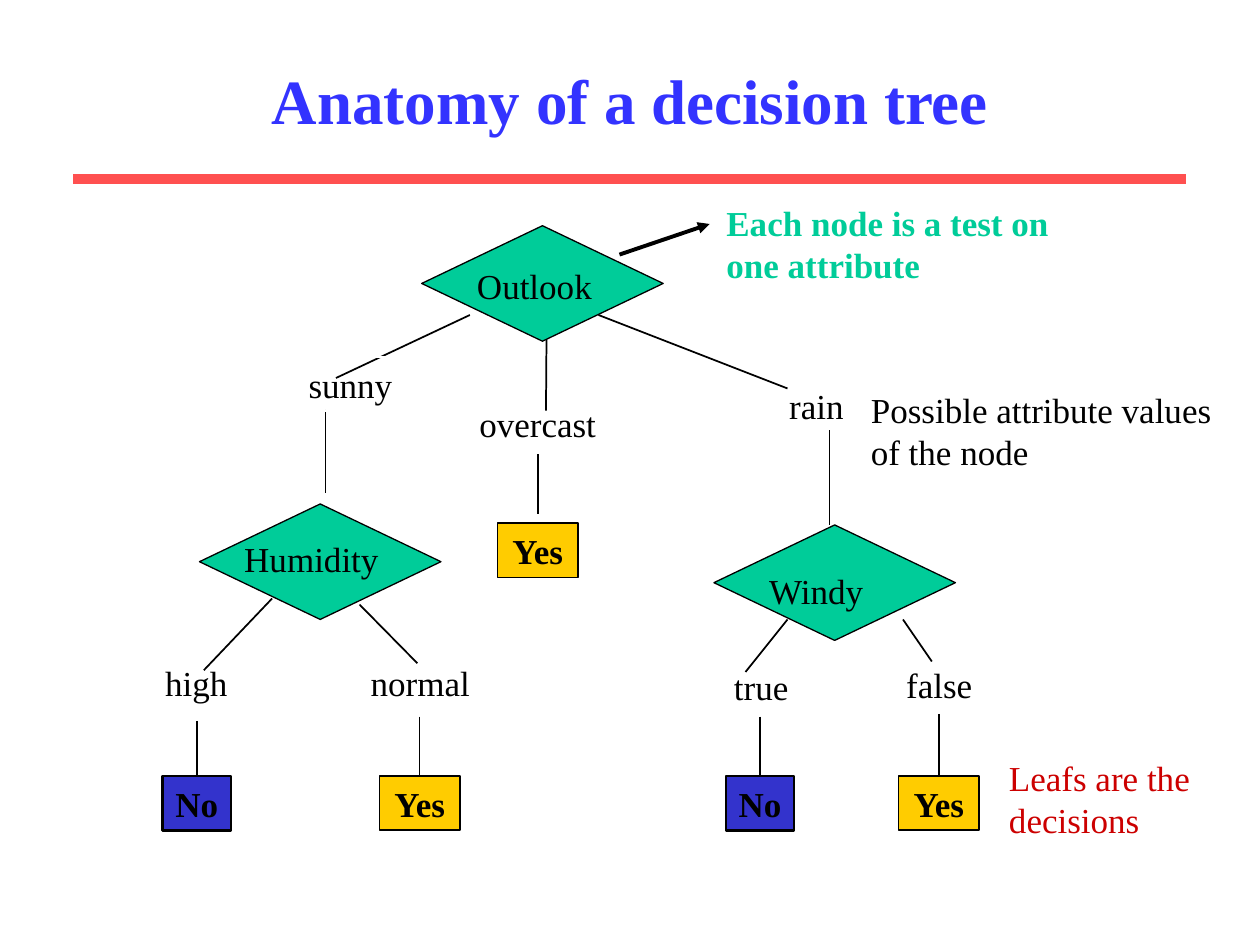
from lxml import etree
from pptx import Presentation
from pptx.dml.color import RGBColor
from pptx.enum.shapes import MSO_CONNECTOR, MSO_SHAPE
from pptx.enum.text import MSO_ANCHOR, PP_ALIGN
from pptx.oxml.ns import qn
from pptx.util import Pt

STRAIGHT = MSO_CONNECTOR.STRAIGHT
RECT, DIAMOND = MSO_SHAPE.RECTANGLE, MSO_SHAPE.DIAMOND
LEFT, CENTER = PP_ALIGN.LEFT, PP_ALIGN.CENTER
TOP, MIDDLE = MSO_ANCHOR.TOP, MSO_ANCHOR.MIDDLE

BLACK = RGBColor(0x00, 0x00, 0x00)
WHITE = RGBColor(0xFF, 0xFF, 0xFF)
TITLE_BLUE = RGBColor(0x33, 0x33, 0xFF)
RULE_RED = RGBColor(0xFF, 0x50, 0x50)
NODE_GREEN = RGBColor(0x00, 0xCC, 0x99)
NO_BLUE = RGBColor(0x33, 0x33, 0xCC)
YES_YELLOW = RGBColor(0xFF, 0xCC, 0x00)
LEAF_RED = RGBColor(0xCC, 0x00, 0x00)

prs = Presentation()
prs.slide_width, prs.slide_height = Pt(720), Pt(540)
s = prs.slides.add_slide(prs.slide_layouts[6])


def write(sp, text, size=20, color=BLACK, bold=False, align=CENTER, anchor=TOP, wrap=False):
    tf = sp.text_frame
    tf.text = text
    tf.word_wrap = wrap
    tf.vertical_anchor = anchor
    for p in tf.paragraphs:
        p.alignment = align
        for r in p.runs:
            r.font.name = "Times New Roman"
            r.font.size = Pt(size)
            r.font.bold = bold
            r.font.color.rgb = color


def add_line(x1, y1, x2, y2, width=1, color=BLACK):
    c = s.shapes.add_connector(STRAIGHT, Pt(x1), Pt(y1), Pt(x2), Pt(y2))
    c.line.color.rgb = color
    c.line.width = Pt(width)
    etree.SubElement(c._element.spPr, qn("a:effectLst"))
    return c


add_line(42, 102.3, 678, 102.3, 6, RULE_RED)
title = s.shapes.add_textbox(Pt(54), Pt(18), Pt(612), Pt(78))
write(title, "Anatomy of a decision tree", 36, TITLE_BLUE, True, anchor=MIDDLE, wrap=True)

branches = [
    (268.5, 180, 192, 216, 1),
    (312.3, 192, 312, 234.7, 1),
    (342, 180, 450, 222, 1),
    (155.5, 342, 116.5, 383, 1),
    (205.5, 345.5, 238.5, 379, 1),
    (450, 354, 426, 384, 1),
    (516, 354, 532.5, 378, 1),
    (307.3, 259.5, 307.3, 294, 1),
    (186, 234, 186, 282, 0.75),
    (474, 246, 474, 300, 0.75),
]
for branch in branches:
    add_line(*branch)

sunny = s.shapes.add_shape(RECT, Pt(169), Pt(204), Pt(62.5), Pt(31))
sunny.shadow.inherit = False
sunny.fill.background()
sunny.line.color.rgb = WHITE
sunny.line.width = Pt(1)
write(sunny, "sunny")

values = [
    ("overcast", 266.5, 226.5, 81.5),
    ("rain", 443.5, 216, 46),
    ("high", 87, 374.5, 50.5),
    ("normal", 204.5, 374.5, 71.5),
    ("true", 412, 376.5, 46),
    ("false", 510.5, 375.5, 52.5),
]
for text, x, y, w in values:
    sp = s.shapes.add_textbox(Pt(x), Pt(y), Pt(w), Pt(31))
    write(sp, text)

leaves = [
    ("No", 112.5, 443.5, 412),
    ("Yes", 239.8, 443.5, 409.5),
    ("No", 434.3, 443.5, 409.5),
    ("Yes", 536.5, 443.5, 408),
    ("Yes", 307.3, 299, None),
]
leaf_styles = {"No": (39, NO_BLUE, 1.5), "Yes": (46, YES_YELLOW, 1)}
for text, center, y, line_top in leaves:
    w, fill, border = leaf_styles[text]
    sp = s.shapes.add_shape(RECT, Pt(center - w / 2), Pt(y), Pt(w), Pt(31))
    sp.shadow.inherit = False
    sp.fill.solid()
    sp.fill.fore_color.rgb = fill
    sp.line.color.rgb = BLACK
    sp.line.width = Pt(border)
    write(sp, text, bold=True)
    if line_top:
        add_line(center, line_top, center, y).end_connect(sp, 0)

nodes = [
    ("Outlook", 241, 129, 265.5, 147.5, 80),
    ("Humidity", 114, 288, 132.5, 303.5, 91),
    ("Windy", 408, 300, 432.5, 322, 69),
]
for text, x, y, text_x, text_y, text_w in nodes:
    sp = s.shapes.add_shape(DIAMOND, Pt(x), Pt(y), Pt(138), Pt(66))
    sp.shadow.inherit = False
    sp.fill.solid()
    sp.fill.fore_color.rgb = NODE_GREEN
    sp.line.color.rgb = BLACK
    sp.line.width = Pt(0.75)
    label = s.shapes.add_textbox(Pt(text_x), Pt(text_y), Pt(text_w), Pt(31.5))
    write(label, text, align=LEFT)

arrow = add_line(354, 145.5, 405.5, 128, 2.25)
etree.SubElement(arrow.line._get_or_add_ln(), qn("a:tailEnd"), type="triangle")

notes = [
    ("Each node is a test on\none attribute", 408, 111.5, 204, NODE_GREEN, True, False),
    ("Possible attribute values\nof the node", 490.5, 218.5, 214, BLACK, False, False),
    ("Leafs are the decisions", 569.5, 429, 158.5, LEAF_RED, False, True),
]
for text, x, y, w, color, bold, wrap in notes:
    sp = s.shapes.add_textbox(Pt(x), Pt(y), Pt(w), Pt(55.5))
    write(sp, text, color=color, bold=bold, align=LEFT, wrap=wrap)

prs.save("out.pptx")
